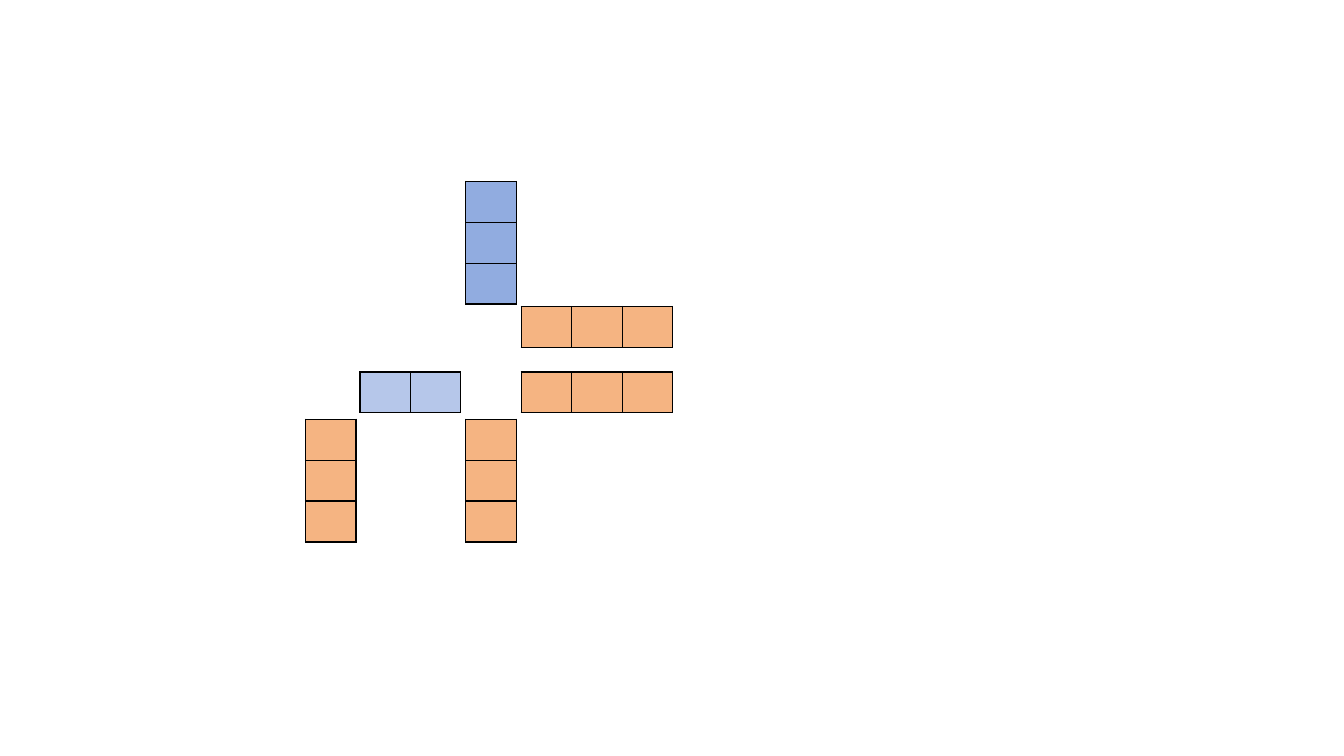
from dataclasses import dataclass

from lxml import etree
from pptx import Presentation
from pptx.dml.color import RGBColor
from pptx.oxml.ns import qn
from pptx.util import Inches, Pt

SIDES = ("a:lnL", "a:lnR", "a:lnT", "a:lnB")


@dataclass(frozen=True)
class Theme:
    orange: str = "F5B482"
    blue: str = "91ACE0"
    pale_blue: str = "B6C7EA"
    border: str = "000000"
    border_width: float = 1


THEME = Theme()

# Grid: each cell is half an inch wide; strips sit on shared edges
CELL_WIDTH, CELL_HEIGHT = 0.5, 0.4
LEFT_COLUMN, BRIDGE_COLUMN, MIDDLE_COLUMN, RIGHT_COLUMN = 3.03, 3.57, 4.62, 5.17
TOP_ROW, UPPER_ROW, LOWER_ROW, BOTTOM_ROW = 1.8, 3.04, 3.69, 4.16


def add_borders(cell):
    properties = cell._tc.get_or_add_tcPr()
    for side in SIDES:
        line = etree.SubElement(properties, qn(side), w=str(Pt(THEME.border_width)))
        fill = etree.SubElement(line, qn("a:solidFill"))
        etree.SubElement(fill, qn("a:srgbClr"), val=THEME.border)


def add_strip(page, left, top, columns, rows, color):
    """Add a table of equal cells in one colour."""
    frame = page.shapes.add_table(
        rows, columns, Inches(left), Inches(top),
        Inches(columns * CELL_WIDTH), Inches(rows * CELL_HEIGHT))
    table = frame.table
    table.first_row = False
    table.horz_banding = False
    for cell in table.iter_cells():
        add_borders(cell)
        cell.fill.solid()
        cell.fill.fore_color.rgb = RGBColor.from_string(color)


def main():
    deck = Presentation()
    deck.slide_width, deck.slide_height = Inches(13.33), Inches(7.5)
    page = deck.slides.add_slide(deck.slide_layouts[6])

    # Upright strips
    add_strip(page, MIDDLE_COLUMN, BOTTOM_ROW, 1, 3, THEME.orange)
    add_strip(page, MIDDLE_COLUMN, TOP_ROW, 1, 3, THEME.blue)
    add_strip(page, LEFT_COLUMN, BOTTOM_ROW, 1, 3, THEME.orange)

    # Level strips
    add_strip(page, BRIDGE_COLUMN, LOWER_ROW, 2, 1, THEME.pale_blue)
    for top in (UPPER_ROW, LOWER_ROW):
        add_strip(page, RIGHT_COLUMN, top, 3, 1, THEME.orange)

    deck.save("out.pptx")


if __name__ == "__main__":
    main()
